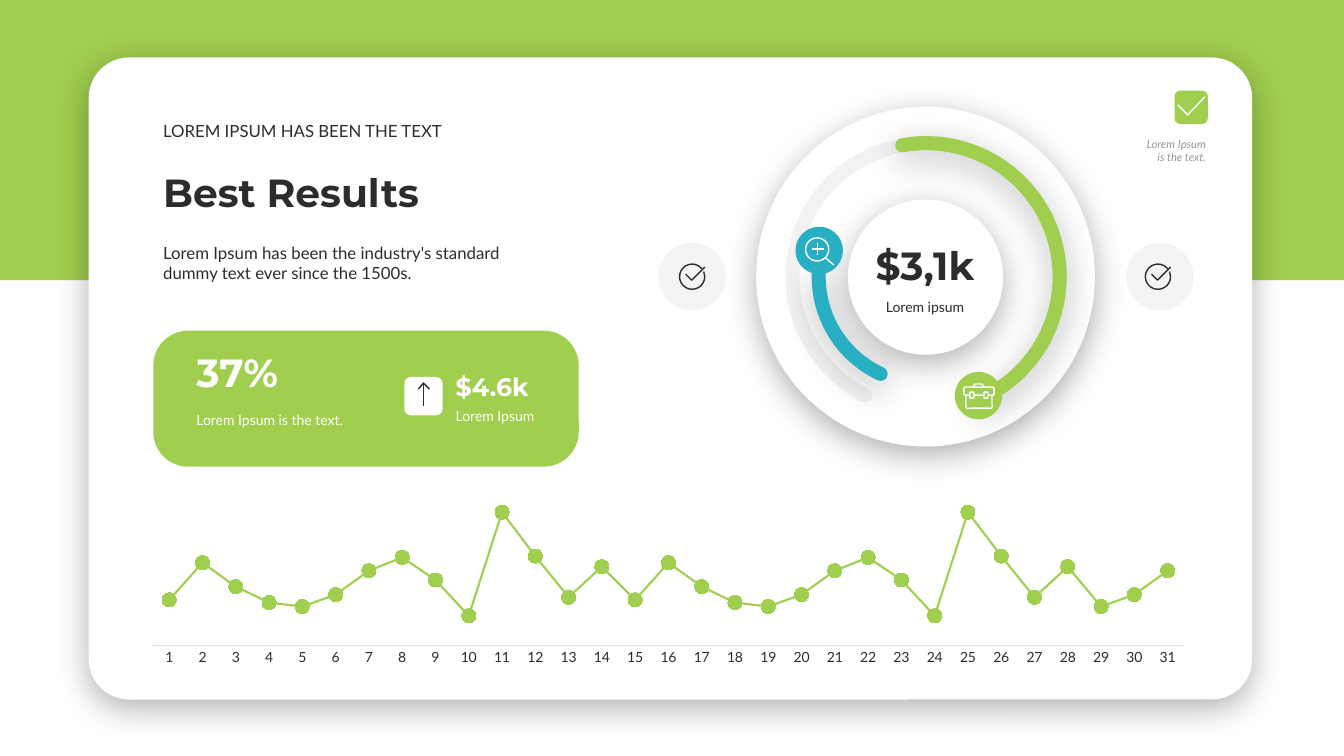
from lxml import etree
from pptx import Presentation, util as u
from pptx.chart.data import CategoryChartData
from pptx.dml.color import RGBColor
from pptx.enum import chart as ch, shapes, text
from pptx.oxml import parse_xml
from pptx.oxml.ns import nsdecls, qn

GREEN, TEAL, DARK, WHITE = "A0CE4E", "28AFC3", "2C2C2C", "FFFFFF"
RECT = shapes.MSO_SHAPE.RECTANGLE
ROUND = shapes.MSO_SHAPE.ROUNDED_RECTANGLE
OVAL = shapes.MSO_SHAPE.OVAL
ARC = shapes.MSO_SHAPE.ARC
LEFT, MID, RIGHT = text.PP_ALIGN.LEFT, text.PP_ALIGN.CENTER, text.PP_ALIGN.RIGHT
WEEKS = [34, 62, 44, 32, 29, 38, 56, 66, 49, 22, 100, 67, 36, 59]
SALES = WEEKS * 2 + [29, 38, 56]


def px(n):
    return u.Emu(int(n * 9144))


def tint(code):
    return RGBColor.from_string(code)


def fade(node, pct):
    for clr in node.iter(qn("a:srgbClr")):
        etree.SubElement(clr, qn("a:alpha"), val=str(pct * 1000))


def shade(shape):
    shape._element.spPr.append(parse_xml(
        f'<a:effectLst {nsdecls("a")}><a:outerShdw blurRad="292100" dist="76200" '
        'dir="5400000" algn="t" rotWithShape="0"><a:srgbClr val="000000">'
        '<a:alpha val="30000"/></a:srgbClr></a:outerShdw></a:effectLst>'))


class Board:
    def __init__(self):
        self.deck = Presentation()
        self.deck.slide_width, self.deck.slide_height = px(1333), px(750)
        self.slide = self.deck.slides.add_slide(self.deck.slide_layouts[6])
        self.items = self.slide.shapes

    def shape(self, kind, x, y, w, h, fill=None, line=None, width=1,
              adj=(), glow=False, alpha=None):
        item = self.items.add_shape(kind, px(x), px(y), px(w), px(h))
        for i, val in enumerate(adj):
            item.adjustments[i] = val
        if fill:
            item.fill.solid()
            item.fill.fore_color.rgb = tint(fill)
        else:
            item.fill.background()
        if line:
            item.line.color.rgb = tint(line)
            item.line.width = u.Pt(width)
            item._element.spPr.find(qn("a:ln")).set("cap", "rnd")
        else:
            item.line.fill.background()
        if alpha:
            fade(item._element.spPr, alpha)
        if glow:
            shade(item)
        else:
            item.shadow.inherit = False
        return item

    def stroke(self, color, *dots):
        dots = [(px(x), px(y)) for x, y in dots]
        if len(dots) == 2:
            item = self.items.add_connector(
                shapes.MSO_CONNECTOR.STRAIGHT, *dots[0], *dots[1])
            etree.SubElement(item._element.spPr, qn("a:effectLst"))
        else:
            pen = self.items.build_freeform(*dots[0], scale=1.0)
            pen.add_line_segments(dots[1:], close=False)
            item = pen.convert_to_shape()
            item.fill.background()
            item.shadow.inherit = False
        item.line.color.rgb = tint(color)
        item.line.width = u.Pt(1)

    def text(self, words, x, y, w, h, size=12, font="Lato", color=DARK,
             bold=False, slant=False, align=LEFT, low=False, pad=10, after=0):
        box = self.items.add_textbox(px(x), px(y), px(w), px(h))
        frame = box.text_frame
        frame.word_wrap = True
        frame.auto_size = text.MSO_AUTO_SIZE.SHAPE_TO_FIT_TEXT
        frame.margin_left = frame.margin_right = px(pad)
        if low:
            frame.vertical_anchor = text.MSO_ANCHOR.BOTTOM
        para = frame.paragraphs[0]
        para.alignment = align
        para.space_after = u.Pt(after)
        run = para.add_run()
        run.text = words
        run.font.size, run.font.name = u.Pt(size), font
        run.font.bold, run.font.italic = bold, slant
        run.font.color.rgb = tint(color)

    def head(self, words, x, y, w, h, size=28, **style):
        self.text(words, x, y, w, h, size=size, font="Montserrat",
                  bold=True, low=True, **style)

    def tick(self, x):
        self.shape(OVAL, x, 241, 67, 67, DARK, alpha=5)

    def check(self, x):
        self.shape(ARC, x, 262, 25, 25, line=DARK, adj=(202.8, 191.4))
        self.stroke(DARK, (x + 6, 272), (x + 12, 278), (x + 25, 265))

    def case(self):
        self.shape(OVAL, 947, 369, 47, 47, GREEN)
        self.stroke(WHITE, (965, 384), (967, 381), (974, 381), (976, 384))
        self.shape(ROUND, 958, 392, 26, 13, line=WHITE, adj=(.08,))
        self.shape(ROUND, 956, 384, 30, 8, GREEN, WHITE)
        for x in (962, 976):
            self.shape(ROUND, x, 389, 4, 6, GREEN, WHITE)

    def lens(self):
        self.shape(OVAL, 789, 225, 47, 47, TEAL)
        self.shape(OVAL, 799, 236, 23, 23, line=WHITE)
        self.stroke(WHITE, (805, 247), (817, 247))
        self.stroke(WHITE, (811, 241), (811, 253))
        self.stroke(WHITE, (819, 256), (827, 263))

    def chart(self, x, y, w, h):
        data = CategoryChartData()
        data.categories = [str(i + 1) for i in range(len(SALES))]
        data.add_series("Series 1", SALES)
        plot = self.items.add_chart(ch.XL_CHART_TYPE.LINE_MARKERS_STACKED,
                                    px(x), px(y), px(w), px(h), data).chart
        plot.has_legend = plot.has_title = False
        plot.font.size, plot.font.name = u.Pt(10), "Lato"
        plot.font.color.rgb = tint(DARK)
        axis = plot.category_axis
        axis.major_tick_mark = axis.minor_tick_mark = ch.XL_TICK_MARK.NONE
        axis.format.line.color.rgb = tint("DFDFDF")
        axis.format.line.width = u.Pt(.75)
        vals = plot.value_axis
        vals.visible = vals.has_major_gridlines = False
        vals.minimum_scale, vals.maximum_scale = 0, 120
        plot.plots[0].vary_by_categories = False
        row = plot.plots[0].series[0]
        row.smooth = False
        row.format.line.color.rgb = tint(GREEN)
        row.format.line.width = u.Pt(1.5)
        row.marker.style, row.marker.size = ch.XL_MARKER_STYLE.CIRCLE, 10
        row.marker.format.fill.solid()
        row.marker.format.fill.fore_color.rgb = tint(GREEN)
        row.marker.format.line.color.rgb = tint(GREEN)
        area = plot._chartSpace.chart.plotArea
        for old in area.findall(qn("c:layout")):
            area.remove(old)
        area.insert(0, parse_xml(
            f'<c:layout {nsdecls("c")}><c:manualLayout>'
            '<c:layoutTarget val="inner"/><c:xMode val="edge"/>'
            '<c:yMode val="edge"/><c:x val="0.02"/><c:y val="0.01"/>'
            '<c:w val="0.96"/><c:h val="0.86"/></c:manualLayout></c:layout>'))


def main():
    b = Board()
    b.shape(RECT, 0, 0, 1333, 278, GREEN)
    b.shape(ROUND, 88, 57, 1154, 637, WHITE, adj=(.063,), glow=True)
    b.shape(OVAL, 750, 106, 336, 337, WHITE, glow=True)
    b.shape(ARC, 786, 142, 265, 265, line=DARK, width=10,
            adj=(70.27, 39.65), alpha=5)
    b.shape(OVAL, 841, 198, 154, 154, WHITE, glow=True)
    b.shape(ARC, 786, 142, 265, 265, line=GREEN, width=10,
            adj=(155.86, 39.41), glow=True)
    b.text("Lorem Ipsum has been the industry's standard dummy text ever "
           "since the 1500s.", 152, 236, 368, 50)
    b.head("Best Results", 152, 162, 368, 57)
    b.text("LOREM IPSUM HAS BEEN THE TEXT", 152, 115, 368, 30, low=True)
    for x in (653, 1117):
        b.tick(x)
    for x in (674, 1136):
        b.check(x)
    b.text("Lorem ipsum", 836, 291, 163, 27, size=10, align=MID, after=6)
    b.head("$3,1k", 836, 234, 163, 57, align=MID, after=6, pad=8)
    b.case()
    b.shape(ROUND, 1165, 90, 33, 33, GREEN)
    b.text("Lorem Ipsum is the text.", 1124, 131, 82, 37, size=8,
           color="969696", slant=True, align=RIGHT)
    b.stroke(WHITE, (1168, 104), (1178, 114), (1195, 96))
    b.shape(ARC, 812, 168, 213, 213, line=TEAL, width=10,
            adj=(69.02, 108.79), glow=True)
    b.lens()
    b.shape(ROUND, 152, 328, 422, 135, GREEN, adj=(.257,))
    b.text("Lorem Ipsum is the text.", 185, 403, 184, 27, size=10, color=WHITE)
    b.head("37%", 185, 340, 188, 57, color=WHITE)
    b.shape(ROUND, 401, 374, 38, 38, WHITE)
    b.stroke(DARK, (415, 386), (420, 380), (426, 386))
    b.stroke(DARK, (420, 380), (420, 403))
    b.text("Lorem Ipsum", 452, 399, 104, 27, size=10, color=WHITE, pad=0)
    b.head("$4.6k", 452, 363, 104, 40, size=18, color=WHITE, pad=0)
    b.chart(130, 480, 1066, 184)
    b.deck.save("out.pptx")


if __name__ == "__main__":
    main()
